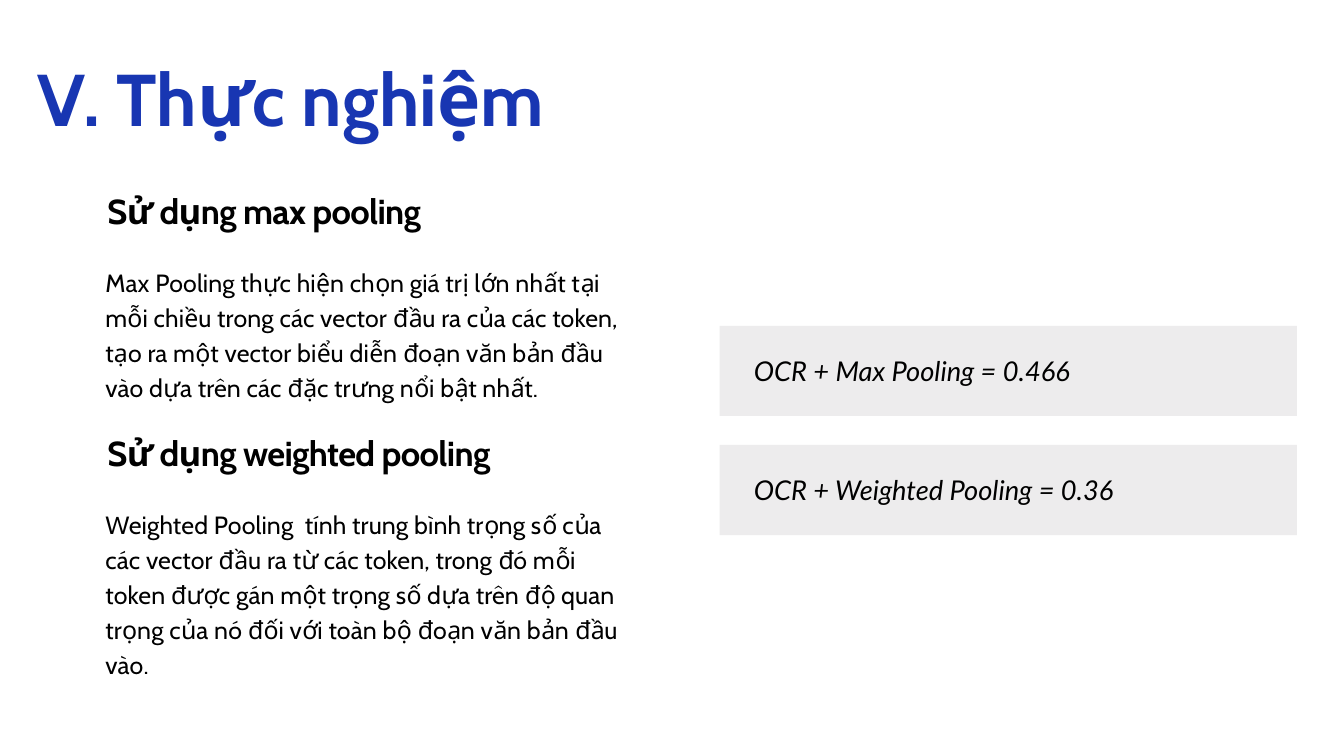
from pptx import Presentation
from pptx.dml.color import RGBColor as RGB
from pptx.enum.shapes import MSO_SHAPE as SHAPE
from pptx.enum.text import MSO_AUTO_SIZE as FIT
from pptx.util import Pt

COLORS = {"title": "1836B2", "text": "000000", "bar": "EDECED"}

# Each format: font values, then colour, line spacing and letter spacing in points.
FORMATS = {
    "title": ({"name": "Cabin", "size": Pt(78.5), "bold": True}, "title", 86.3, 0),
    "heading": ({"name": "Cabin", "size": Pt(37.1), "bold": True}, "text", 48.2, -0.7),
    "body": ({"name": "Cabin", "size": Pt(26.7)}, "text", 37.4, 0.1),
    "result": ({"name": "Lato", "size": Pt(29.2), "italic": True}, "text", 35, 0),
}

SECTIONS = [
    ("Sử dụng max pooling",
     "Max Pooling thực hiện chọn giá trị lớn nhất tại mỗi chiều trong các vector "
     "đầu ra của các token, tạo ra một vector biểu diễn đoạn văn bản đầu vào dựa "
     "trên các đặc trưng nổi bật nhất."),
    ("Sử dụng weighted pooling",
     "Weighted Pooling  tính trung bình trọng số của các vector đầu ra từ các token, "
     "trong đó mỗi token được gán một trọng số dựa trên độ quan trọng của nó đối với "
     "toàn bộ đoạn văn bản đầu vào."),
]
RESULTS = ["OCR + Max Pooling = 0.466", "OCR + Weighted Pooling = 0.36"]

SECTION_TOP, SECTION_STEP = 199.4, 259.4
BAR_TOP, BAR_STEP = 349.2, 127.6


class Deck:
    def __init__(self, width, height):
        self.prs = Presentation()
        self.prs.slide_width, self.prs.slide_height = Pt(width), Pt(height)
        self.slide = self.prs.slides.add_slide(self.prs.slide_layouts[6])

    def text(self, text, style, left, top, width, height):
        font, color, line, tracking = FORMATS[style]
        box = self.slide.shapes.add_textbox(Pt(left), Pt(top), Pt(width), Pt(height))
        tf = box.text_frame
        tf.word_wrap = True
        tf.auto_size = FIT.SHAPE_TO_FIT_TEXT
        for side in ("left", "top", "right", "bottom"):
            setattr(tf, f"margin_{side}", 0)
        p = tf.paragraphs[0]
        p.line_spacing = Pt(line)
        r = p.add_run()
        r.text = text
        for key, value in font.items():
            setattr(r.font, key, value)
        r.font.color.rgb = RGB.from_string(COLORS[color])
        if tracking:
            r.font._element.set("spc", str(round(tracking * 100)))

    def bar(self, left, top, width, height):
        sp = self.slide.shapes.add_shape(
            SHAPE.RECTANGLE, Pt(left), Pt(top), Pt(width), Pt(height))
        sp.shadow.inherit = False
        sp.fill.solid()
        sp.fill.fore_color.rgb = RGB.from_string(COLORS["bar"])
        sp.line.fill.background()

    def section(self, heading, body, top):
        self.text(heading, "heading", 115.2, top, 566.6, 46)
        self.text(body, "body", 113, top + 82.2, 566.6, 144.7)

    def result(self, text, top):
        self.bar(771.1, top, 618.5, 96.5)
        self.text(text, "result", 807.8, top + 30.6, 496, 34.6)


def main():
    deck = Deck(1440, 810)
    deck.text("V. Thực nghiệm", "title", 40.3, 65.5, 715.7, 88.6)
    for i, (heading, body) in enumerate(SECTIONS):
        deck.section(heading, body, SECTION_TOP + i * SECTION_STEP)
    for i, text in enumerate(RESULTS):
        deck.result(text, BAR_TOP + i * BAR_STEP)
    deck.prs.save("out.pptx")


if __name__ == "__main__":
    main()
